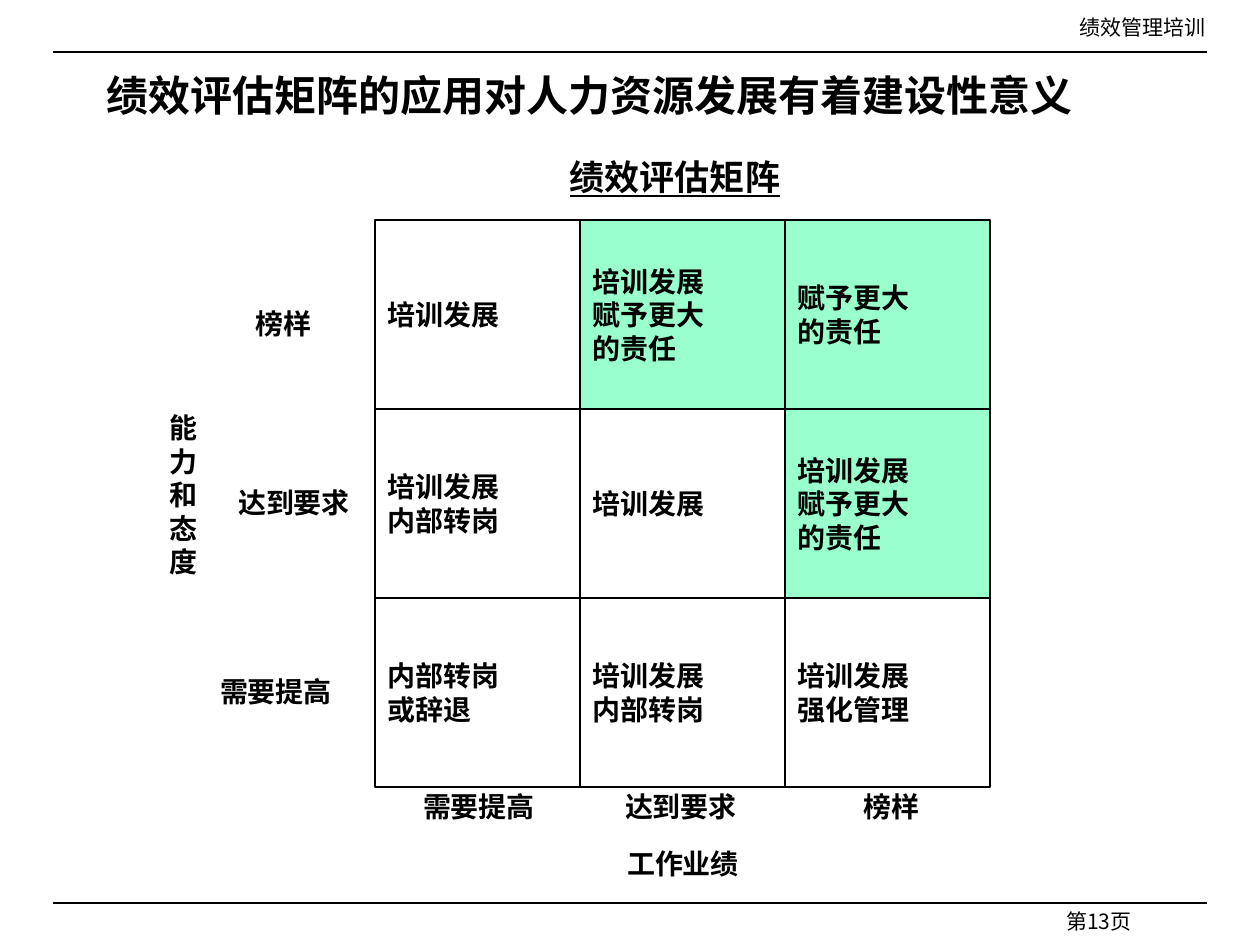
from dataclasses import dataclass
from lxml.etree import SubElement
from pptx import Presentation
from pptx.dml.color import RGBColor
from pptx.enum.shapes import MSO_CONNECTOR, MSO_SHAPE
from pptx.enum.text import MSO_ANCHOR, MSO_AUTO_SIZE, PP_ALIGN
from pptx.oxml.ns import qn
from pptx.util import Emu, Pt

PIXEL = 914400 / 126
BLACK, WHITE, GREEN = "000000", "FFFFFF", "99FFCC"
LATIN_FONT, CHINESE_FONT = "Times New Roman", "Noto Sans CJK SC"
HEADING = {"size": Pt(24), "bold": True}
SUBTITLE = {"size": Pt(20), "bold": True, "underline": True}
BODY = {"size": Pt(16), "bold": True}
SMALL = {"size": Pt(12), "bold": False}

CELL_WIDTH, CELL_HEIGHT = 205, 189
MATRIX_LEFT, MATRIX_TOP = 375, 220


@dataclass
class Box:
    left: int
    top: int
    width: int
    height: int


@dataclass
class Label:
    text: str
    box: Box
    font_format: dict
    align: PP_ALIGN = PP_ALIGN.CENTER
    anchor: MSO_ANCHOR = MSO_ANCHOR.MIDDLE
    wrap: bool = False
    latin_font: str = LATIN_FONT


@dataclass
class Cell:
    text: str
    fill: str = WHITE


MATRIX = [
    [Cell("培训发展"), Cell("培训发展\n赋予更大\n的责任", GREEN), Cell("赋予更大\n的责任", GREEN)],
    [Cell("培训发展\n内部转岗"), Cell("培训发展"), Cell("培训发展\n赋予更大\n的责任", GREEN)],
    [Cell("内部转岗\n或辞退"), Cell("培训发展\n内部转岗"), Cell("培训发展\n强化管理")],
]
LABELS = [
    Label("绩效管理培训", Box(630, 8, 588, 38), SMALL, PP_ALIGN.RIGHT, MSO_ANCHOR.TOP, True),
    Label("第13页", Box(882, 902, 262, 22), SMALL, PP_ALIGN.RIGHT, MSO_ANCHOR.TOP, True, CHINESE_FONT),
    Label("绩效评估矩阵", Box(557, 149, 236, 55), SUBTITLE),
    Label("需要提高", Box(411, 783, 136, 47), BODY),
    Label("达到要求", Box(613, 783, 136, 47), BODY),
    Label("榜样", Box(851, 783, 81, 47), BODY),
    Label("榜样", Box(243, 300, 81, 47), BODY),
    Label("达到要求", Box(226, 479, 136, 47), BODY),
    Label("需要提高", Box(208, 668, 136, 47), BODY),
    Label("工作业绩", Box(615, 840, 136, 47), BODY),
    Label("能\n力\n和态度", Box(157, 404, 73, 181), BODY, PP_ALIGN.LEFT, wrap=True),
]
TITLE = Label("绩效评估矩阵的应用对人力资源发展有着建设性意义",
              Box(94, 63, 1071, 63), HEADING, PP_ALIGN.LEFT, wrap=True)


def px(length: int) -> Emu:
    return Emu(round(length * PIXEL))


def color(value: str) -> RGBColor:
    return RGBColor.from_string(value)


def place(box: Box) -> list:
    return [px(length) for length in (box.left, box.top, box.width, box.height)]


def write_text(shape, label: Label) -> None:
    frame = shape.text_frame
    frame.text = label.text
    frame_format = {
        "auto_size": MSO_AUTO_SIZE.NONE,
        "word_wrap": label.wrap,
        "vertical_anchor": label.anchor,
    }
    for name, value in frame_format.items():
        setattr(frame, name, value)
    for paragraph in frame.paragraphs:
        paragraph.alignment = label.align
        for run in paragraph.runs:
            for name, value in {"name": label.latin_font, **label.font_format}.items():
                setattr(run.font, name, value)
            run.font.color.rgb = color(BLACK)
            properties = run._r.get_or_add_rPr()
            SubElement(properties, qn("a:ea"), typeface=CHINESE_FONT)


def add_label(slide, label: Label) -> None:
    write_text(slide.shapes.add_textbox(*place(label.box)), label)


def add_cell(slide, cell: Cell, row: int, column: int) -> None:
    box = Box(MATRIX_LEFT + column * CELL_WIDTH, MATRIX_TOP + row * CELL_HEIGHT,
              CELL_WIDTH, CELL_HEIGHT)
    shape = slide.shapes.add_shape(MSO_SHAPE.RECTANGLE, *place(box))
    shape.shadow.inherit = False
    shape.fill.solid()
    shape.fill.fore_color.rgb = color(cell.fill)
    shape.line.color.rgb = color(BLACK)
    shape.line.width = Pt(0.75)
    write_text(shape, Label(cell.text, box, BODY, PP_ALIGN.LEFT, wrap=True))


def add_rule(slide, top: int) -> None:
    rule = slide.shapes.add_connector(
        MSO_CONNECTOR.STRAIGHT, px(53), px(top), px(1207), px(top))
    rule.line.color.rgb = color(BLACK)
    rule.line.width = Pt(0.75)
    SubElement(rule._element.spPr, qn("a:effectLst"))


def add_title(slide, label: Label) -> None:
    title = slide.shapes.title
    for name, value in zip(("left", "top", "width", "height"), place(label.box)):
        setattr(title, name, value)
    write_text(title, label)


def main() -> None:
    presentation = Presentation()
    presentation.slide_width, presentation.slide_height = px(1260), px(945)
    slide = presentation.slides.add_slide(presentation.slide_layouts[5])
    add_title(slide, TITLE)
    for top in (52, 903):
        add_rule(slide, top)
    for row, cells in enumerate(MATRIX):
        for column, cell in enumerate(cells):
            add_cell(slide, cell, row, column)
    for label in LABELS:
        add_label(slide, label)
    presentation.save("out.pptx")


if __name__ == "__main__":
    main()
